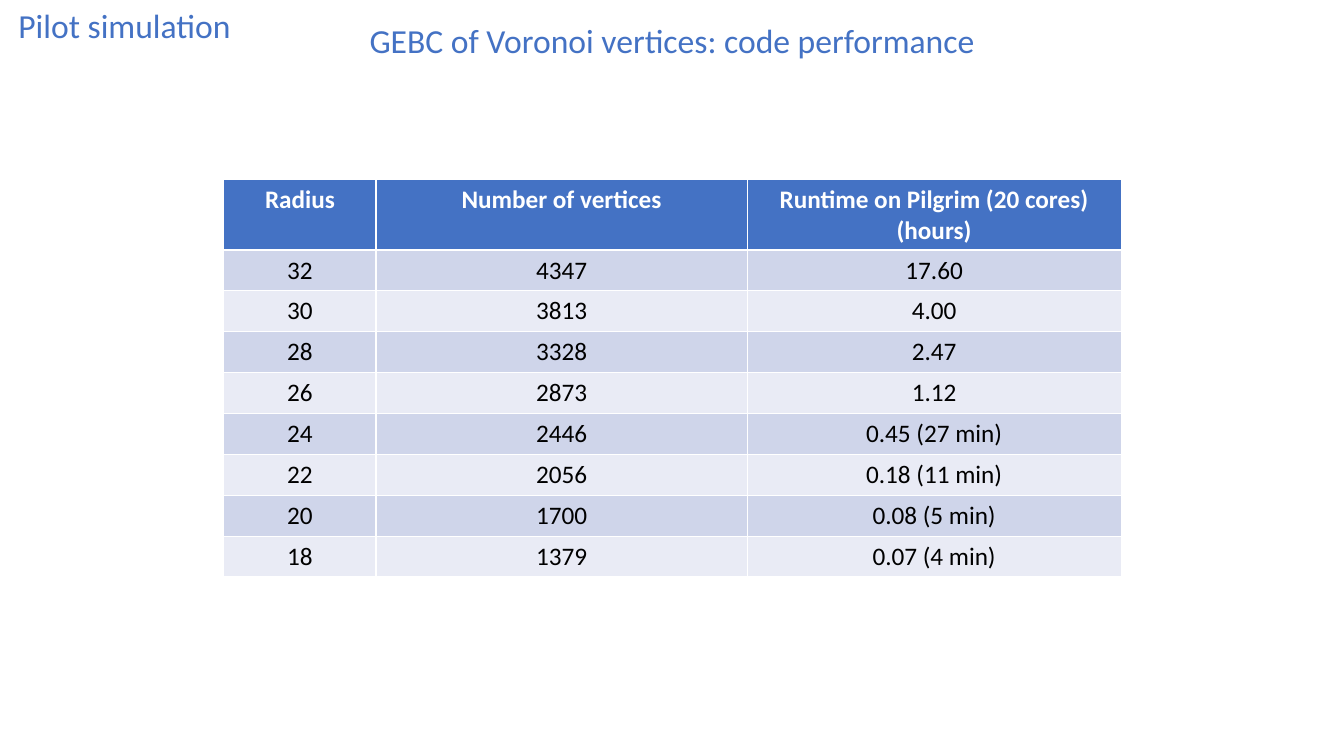
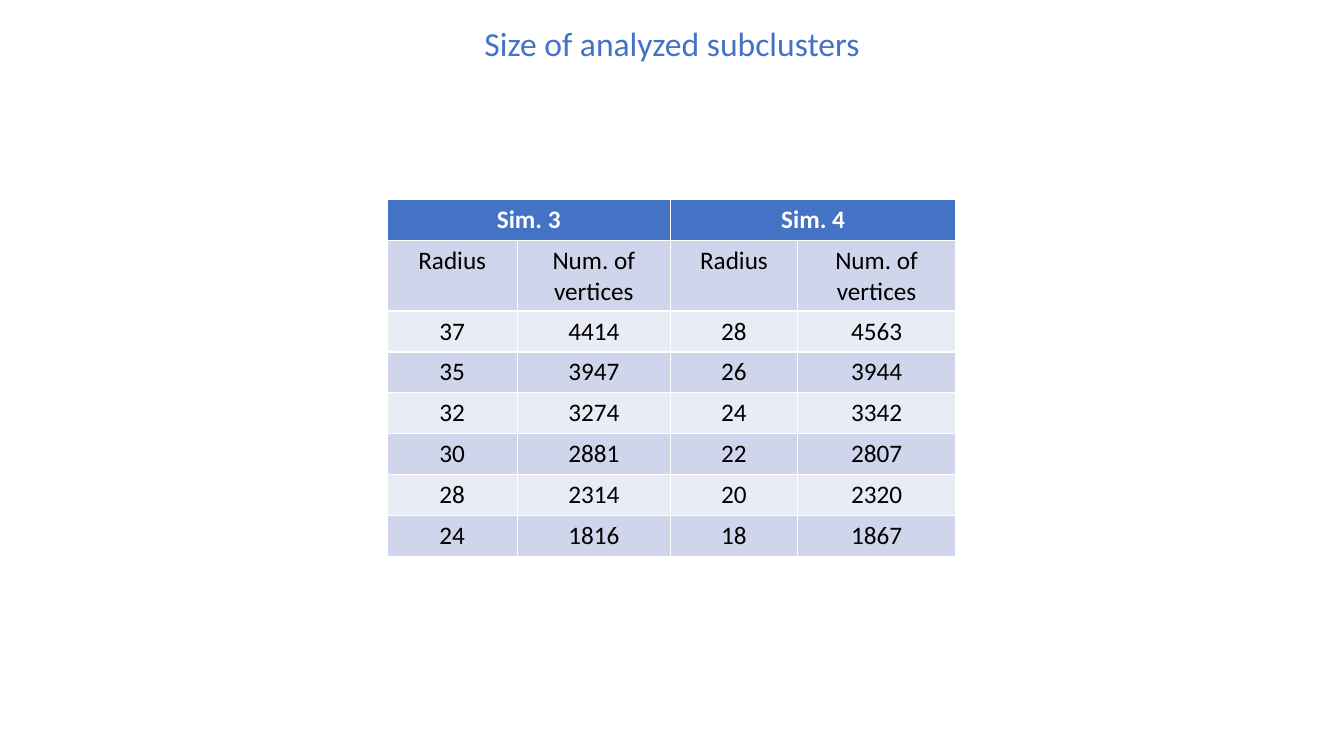
from pptx import Presentation
from pptx.dml.color import RGBColor as RGB
from pptx.enum.text import PP_ALIGN as Align
from pptx.util import Inches as In, Pt

BLUE = RGB(0x44, 0x72, 0xC4)
WHITE = RGB(0xFF, 0xFF, 0xFF)
BLACK = RGB(0, 0, 0)
BANDS = RGB(0xE9, 0xEB, 0xF5), RGB(0xCF, 0xD5, 0xEA)
FACE = "Calibri"
ROW, TALL = Pt(29.2), Pt(50.4)  # one-line and two-line rows

# Content: heads are (text, left, top, width); an empty cell joins its left one
SLIDES = [
    {
        "heads": [
            ("GEBC of Voronoi vertices: code performance", 3.54, 0.15, 6.25),
            ("Pilot simulation", 0, 0, 2.47),
        ],
        "at": (2.22, 1.78),
        "cols": (1.51, 3.68, 3.71),
        "tall": 0,
        "rows": [
            ("Radius", "Number of vertices", "Runtime on Pilgrim (20 cores)\n(hours)"),
            ("32", "4347", "17.60"),
            ("30", "3813", "4.00"),
            ("28", "3328", "2.47"),
            ("26", "2873", "1.12"),
            ("24", "2446", "0.45 (27 min)"),
            ("22", "2056", "0.18 (11 min)"),
            ("20", "1700", "0.08 (5 min)"),
            ("18", "1379", "0.07 (4 min)"),
        ],
    },
    {
        "heads": [("Size of analyzed subclusters", 4.69, 0.18, 3.95)],
        "at": (3.84, 1.98),
        "cols": (1.29, 1.52, 1.26, 1.57),
        "tall": 1,
        "rows": [
            ("Sim. 3", "", "Sim. 4", ""),
            ("Radius", "Num. of vertices", "Radius", "Num. of vertices"),
            ("37", "4414", "28", "4563"),
            ("35", "3947", "26", "3944"),
            ("32", "3274", "24", "3342"),
            ("30", "2881", "22", "2807"),
            ("28", "2314", "20", "2320"),
            ("24", "1816", "18", "1867"),
        ],
    },
]


def write(frame, text, size, color, bold=False):
    """Fill a frame with centred text in the shared face."""
    frame.text = text
    for para in frame.paragraphs:
        para.alignment = Align.CENTER
        for run in para.runs:
            font = run.font
            font.name, font.size, font.bold = FACE, Pt(size), bold
            font.color.rgb = color


def add_head(slide, text, left, top, width):
    box = slide.shapes.add_textbox(In(left), In(top), In(width), In(0.5))
    box.text_frame.word_wrap = True
    # Slim side margins keep the heading on one line
    box.text_frame.margin_left = box.text_frame.margin_right = In(0.05)
    write(box.text_frame, text, 24, BLUE)


def add_grid(slide, at, cols, rows, tall):
    left, top = map(In, at)
    high = TALL + ROW * (len(rows) - 1)
    grid = slide.shapes.add_table(
        len(rows), len(cols), left, top, In(sum(cols)), high).table
    for col, width in zip(grid.columns, cols):
        col.width = In(width)
    for r, texts in enumerate(rows):
        grid.rows[r].height = TALL if r == tall else ROW
        for c, text in enumerate(texts):
            cell = grid.cell(r, c)
            cell.fill.solid()
            cell.fill.fore_color.rgb = BANDS[r % 2] if r else BLUE
            if text:
                write(cell.text_frame, text, 18, BLACK if r else WHITE, r == 0)
            else:
                grid.cell(r, c - 1).merge(cell)


def main():
    deck = Presentation()
    deck.slide_width, deck.slide_height = In(13.33), In(7.5)
    for page in SLIDES:
        slide = deck.slides.add_slide(deck.slide_layouts[6])
        for head in page["heads"]:
            add_head(slide, *head)
        add_grid(slide, page["at"], page["cols"], page["rows"], page["tall"])
    deck.save("out.pptx")


if __name__ == "__main__":
    main()
